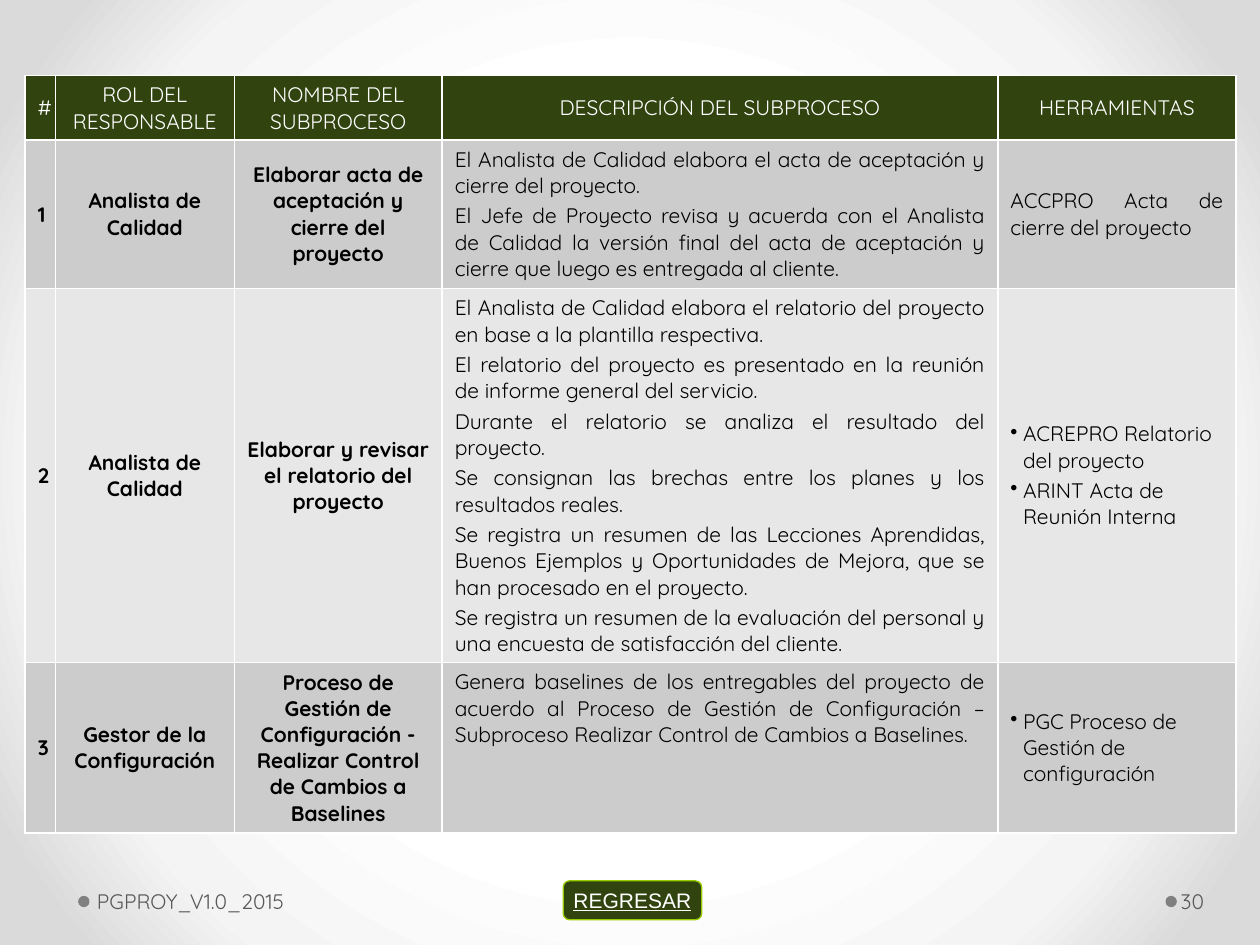
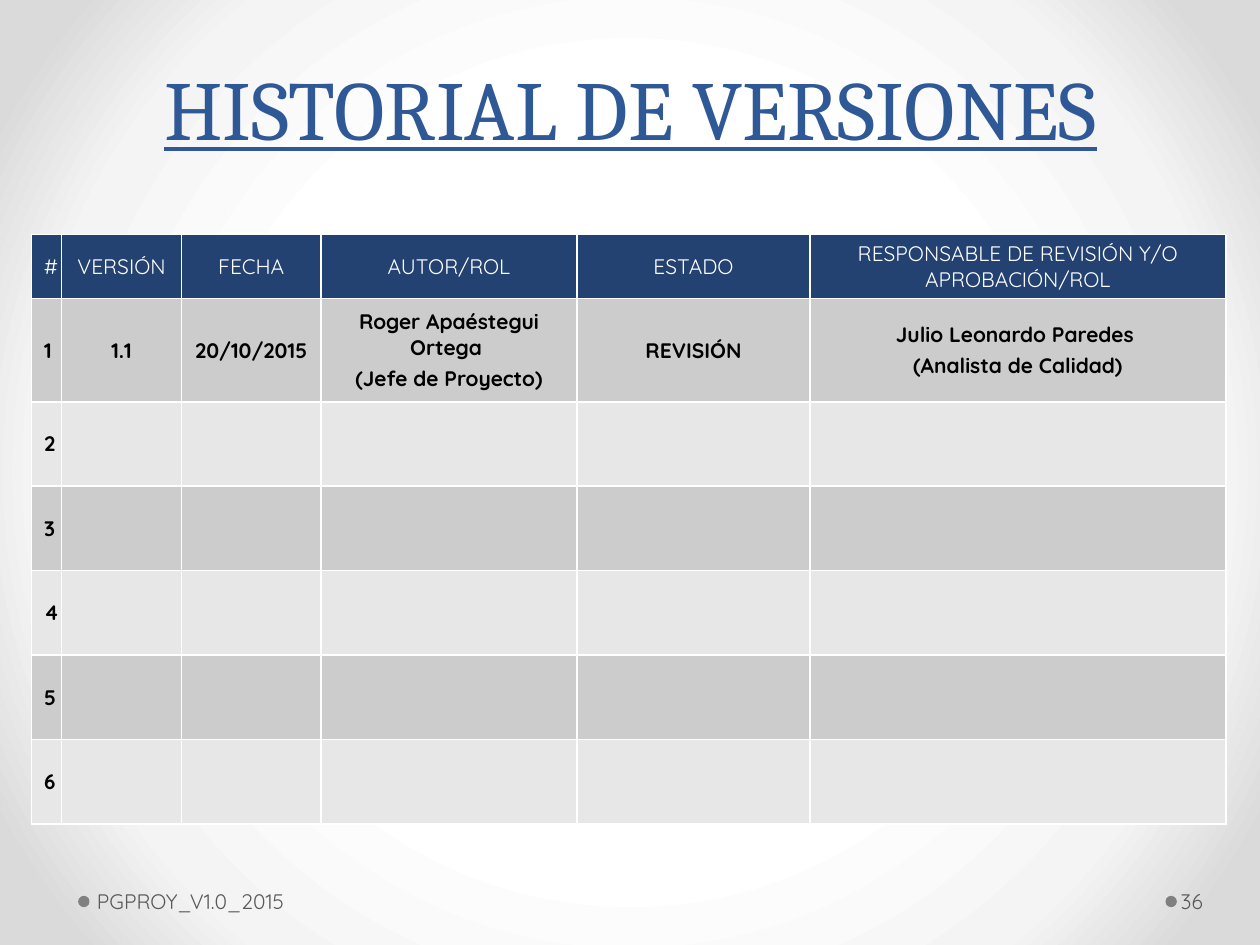
from dataclasses import dataclass
from typing import Any

from lxml.etree import SubElement
from pptx import Presentation
from pptx.dml.color import RGBColor
from pptx.enum.shapes import MSO_SHAPE
from pptx.enum.text import MSO_ANCHOR, PP_ALIGN
from pptx.oxml import parse_xml
from pptx.oxml.ns import nsdecls, qn
from pptx.slide import Slide
from pptx.util import Inches, Pt

BODY, SERIF, SANS = "Quicksand", "Cambria", "Arial"
WHITE, BLACK, GREY, DOT = "FFFFFF", "000000", "595959", "808080"
GREEN, LIME, NAVY, BLUE = "314410", "99CC00", "234271", "2F5897"
BANDS = ("CCCCCC", "E7E7E7")
STOPS = ((50, WHITE), (76, "F4F4F4"), (92, "DADADA"))
LEFT, MID, BOTH = PP_ALIGN.LEFT, PP_ALIGN.CENTER, PP_ALIGN.JUSTIFY
CODE = "PGPROY_V1.0_2015"


@dataclass(frozen=True)
class Box:
    left: float
    top: float
    width: float
    height: float

    def spot(self) -> tuple:
        return tuple(Inches(v) for v in (self.left, self.top, self.width, self.height))


@dataclass(frozen=True)
class Style:
    font: str = BODY
    size: int = 12
    tint: str = BLACK
    bold: bool = False
    under: bool = False
    align: Any = LEFT
    gap: float = 0
    dots: bool = False


@dataclass(frozen=True)
class Grid:
    left: float
    top: float
    cols: tuple
    highs: tuple
    fill: str
    heads: tuple
    rows: tuple
    looks: tuple
    tops: tuple = ()


HEAD = Style(tint=WHITE, align=MID)
BOLD = Style(bold=True, align=MID, gap=2.4)
PLAIN = Style(align=BOTH, gap=2.4)
LIST = Style(gap=2.4, dots=True)
FOOT = Style(tint=GREY)
TITLE = Style(SERIF, 48, BLUE, under=True, align=MID)
LINK = Style(SANS, tint=WHITE, under=True, align=MID)

STEPS = Grid(
    0.2, 0.6, (0.24, 1.42, 1.65, 4.41, 1.89), (0.51, 1.18, 2.97, 1.35), GREEN,
    ("#", "ROL DEL RESPONSABLE", "NOMBRE DEL SUBPROCESO",
     "DESCRIPCIÓN DEL SUBPROCESO", "HERRAMIENTAS"),
    (
        ("1", "Analista de Calidad",
         "Elaborar acta de aceptación y cierre del proyecto",
         "El Analista de Calidad elabora el acta de aceptación y cierre del proyecto.\n"
         "El Jefe de Proyecto revisa y acuerda con el Analista de Calidad la versión "
         "final del acta de aceptación y cierre que luego es entregada al cliente.",
         "ACCPRO Acta de cierre del proyecto"),
        ("2", "Analista de Calidad",
         "Elaborar y revisar el relatorio del proyecto",
         "El Analista de Calidad elabora el relatorio del proyecto en base a la "
         "plantilla respectiva.\n"
         "El relatorio del proyecto es presentado en la reunión de informe general "
         "del servicio.\n"
         "Durante el relatorio se analiza el resultado del proyecto.\n"
         "Se consignan las brechas entre los planes y los resultados reales.\n"
         "Se registra un resumen de las Lecciones Aprendidas, Buenos Ejemplos y "
         "Oportunidades de Mejora, que se han procesado en el proyecto.\n"
         "Se registra un resumen de la evaluación del personal y una encuesta de "
         "satisfacción del cliente.",
         "ACREPRO Relatorio del proyecto\nARINT Acta de Reunión Interna"),
        ("3", "Gestor de la Configuración",
         "Proceso de Gestión de Configuración - Realizar Control de Cambios a Baselines",
         "Genera baselines de los entregables del proyecto de acuerdo al Proceso de "
         "Gestión de Configuración – Subproceso Realizar Control de Cambios a Baselines.",
         "PGC Proceso de Gestión de configuración"),
    ),
    ((BOLD, BOLD, BOLD, PLAIN, PLAIN),) + ((BOLD, BOLD, BOLD, PLAIN, LIST),) * 2,
    (3,),
)

LOG = Grid(
    0.25, 1.86, (0.23, 0.95, 1.11, 2.03, 1.85, 3.3), (0.51, 0.82) + (0.67,) * 5, NAVY,
    ("#", "VERSIÓN", "FECHA", "AUTOR/ROL", "ESTADO",
     "RESPONSABLE DE REVISIÓN Y/O APROBACIÓN/ROL"),
    (("1", "1.1", "20/10/2015", "Roger Apaéstegui Ortega \n(Jefe de Proyecto)",
      "REVISIÓN", "Julio Leonardo Paredes \n(Analista de Calidad)"),)
    + tuple((str(n),) + ("",) * 5 for n in range(2, 7)),
    ((BOLD,) * 6,) * 6,
)


def paint(part: Any, tint: str) -> None:
    if hasattr(part, "solid"):
        part.solid()
        part = part.fore_color
    part.rgb = RGBColor.from_string(tint)


def apply(item: Any, vals: dict) -> None:
    for name, val in vals.items():
        setattr(item, name, val)


def write(frame: Any, text: str, look: Style) -> None:
    for i, line in enumerate(text.split("\n")):
        para = frame.add_paragraph() if i else frame.paragraphs[0]
        apply(para, {"alignment": look.align, "space_before": Pt(look.gap)})
        if look.dots:
            props = para._p.get_or_add_pPr()
            props.set("marL", str(Inches(0.1)))
            props.set("indent", str(Inches(-0.1)))
            SubElement(props, qn("a:buChar"), char="•")
        run = para.add_run()
        run.text = line
        apply(run.font, {"name": look.font, "size": Pt(look.size),
                         "bold": look.bold, "underline": look.under})
        paint(run.font.color, look.tint)


def label(slide: Slide, box: Box, text: str, look: Style,
          left: float = 0.1, right: float = 0.1, anchor: Any = MSO_ANCHOR.MIDDLE) -> None:
    frame = slide.shapes.add_textbox(*box.spot()).text_frame
    apply(frame, {"word_wrap": True, "vertical_anchor": anchor,
                  "margin_left": Inches(left), "margin_right": Inches(right)})
    write(frame, text, look)


def shape(slide: Slide, kind: Any, box: Box, fill: str, edge: str = "") -> Any:
    item = slide.shapes.add_shape(kind, *box.spot())
    item.shadow.inherit = False
    paint(item.fill, fill)
    if edge:
        paint(item.line.fill, edge)
        item.line.width = Pt(0.75)
    else:
        item.line.fill.background()
    return item


def border(cell: Any) -> None:
    props = cell._tc.get_or_add_tcPr()
    for i, side in enumerate("LRTB"):
        props.insert(i, parse_xml(
            f'<a:ln{side} {nsdecls("a")} w="{Pt(1)}"><a:solidFill>'
            f'<a:srgbClr val="{WHITE}"/></a:solidFill></a:ln{side}>'))


def table(slide: Slide, grid: Grid) -> None:
    box = Box(grid.left, grid.top, sum(grid.cols), sum(grid.highs))
    tab = slide.shapes.add_table(len(grid.highs), len(grid.cols), *box.spot()).table
    tab.horz_banding = False
    for col, width in zip(tab.columns, grid.cols):
        col.width = Inches(width)
    for row, high in zip(tab.rows, grid.highs):
        row.height = Inches(high)
    looks = ((HEAD,) * len(grid.cols),) + grid.looks
    for r, texts in enumerate((grid.heads,) + grid.rows):
        for c, text in enumerate(texts):
            cell = tab.cell(r, c)
            high = r and c in grid.tops
            cell.vertical_anchor = MSO_ANCHOR.TOP if high else MSO_ANCHOR.MIDDLE
            paint(cell.fill, BANDS[(r - 1) % 2] if r else grid.fill)
            border(cell)
            if text:
                write(cell.text_frame, text, looks[r][c])


def backdrop(slide: Slide) -> None:
    stops = "".join(f'<a:gs pos="{pos * 1000}"><a:srgbClr val="{tint}"/></a:gs>'
                    for pos, tint in STOPS)
    slide.element.cSld.insert(0, parse_xml(
        f'<p:bg {nsdecls("p", "a")}><p:bgPr><a:gradFill rotWithShape="1">'
        f'<a:gsLst>{stops}</a:gsLst><a:path path="circle">'
        '<a:fillToRect l="50000" t="50000" r="50000" b="50000"/></a:path>'
        '</a:gradFill><a:effectLst/></p:bgPr></p:bg>'))


def page(deck: Any, num: int, grid: Grid) -> Slide:
    slide = deck.slides.add_slide(deck.slide_layouts[6])
    backdrop(slide)
    for left in (9.25, 0.62):
        shape(slide, MSO_SHAPE.OVAL, Box(left, 7.11, 0.09, 0.09), DOT)
    label(slide, Box(9.34, 6.95, 0.61, 0.4), str(num), FOOT, 0.03, 0.05)
    table(slide, grid)
    label(slide, Box(0.72, 6.95, 3.96, 0.4), CODE, FOOT, 0.05)
    return slide


def main() -> None:
    deck = Presentation()
    apply(deck, {"slide_width": Inches(10), "slide_height": Inches(7.5)})
    steps = page(deck, 30, STEPS)
    back = shape(steps, MSO_SHAPE.FLOWCHART_ALTERNATE_PROCESS,
                 Box(4.47, 6.99, 1.1, 0.31), GREEN, LIME)
    apply(back.text_frame, {"word_wrap": False, "vertical_anchor": MSO_ANCHOR.MIDDLE})
    write(back.text_frame, "REGRESAR", LINK)
    log = page(deck, 36, LOG)
    label(log, Box(0.28, 0.19, 9.45, 1.11), "HISTORIAL DE VERSIONES", TITLE,
          anchor=MSO_ANCHOR.BOTTOM)
    deck.save("out.pptx")


if __name__ == "__main__":
    main()
